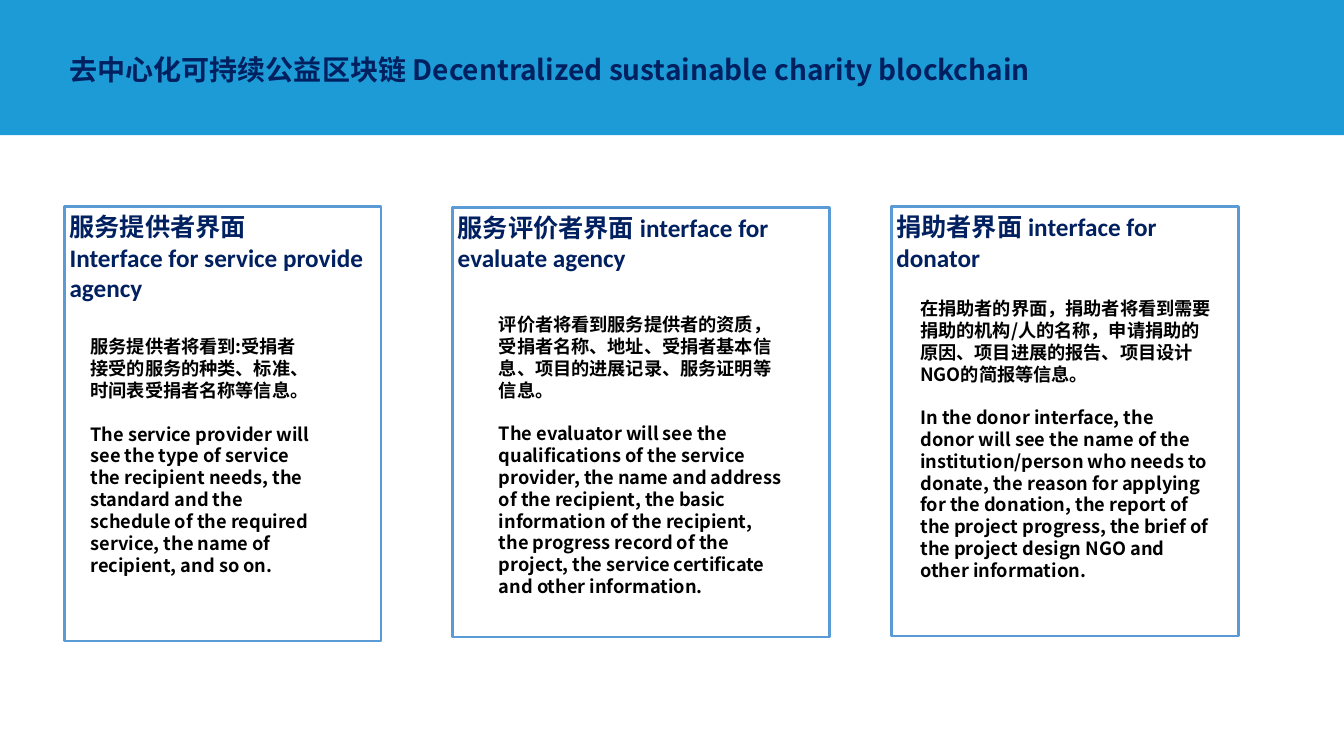
from dataclasses import dataclass

from lxml.etree import SubElement
from pptx import Presentation
from pptx.dml.color import RGBColor as Rgb
from pptx.enum.shapes import MSO_SHAPE as Preset
from pptx.enum.text import MSO_ANCHOR as Anchor, PP_ALIGN as Align
from pptx.oxml.ns import qn
from pptx.slide import Slide
from pptx.text.text import TextFrame
from pptx.util import Inches, Pt


@dataclass(frozen=True)
class Theme:
    band: Rgb = Rgb(0x1C, 0x9B, 0xD7)
    navy: Rgb = Rgb(0x00, 0x20, 0x60)
    border: Rgb = Rgb(0x5B, 0x9B, 0xD5)
    white: Rgb = Rgb(0xFF, 0xFF, 0xFF)
    black: Rgb = Rgb(0, 0, 0)
    latin: str = "Calibri"
    chinese: str = "Noto Sans CJK SC"
    title_size: float = 20
    heading_size: float = 18
    body_size: float = 13
    leading: float = 1.2


@dataclass(frozen=True)
class Area:
    left: float
    top: float
    width: float
    height: float

    def lengths(self) -> list[int]:
        return [Inches(n) for n in (self.left, self.top, self.width, self.height)]


@dataclass(frozen=True)
class Panel:
    frame: Area
    heading: list[str]
    body: Area
    description: list[str]


@dataclass(frozen=True)
class TextStyle:
    font: str
    size: float
    color: Rgb
    inset: float = 0.05
    gap: float = 0
    wrap: bool = True


THEME = Theme()
TITLE = TextStyle(THEME.chinese, THEME.title_size, THEME.navy, wrap=False)
HEADING = TextStyle(THEME.latin, THEME.heading_size, THEME.navy)
BODY = TextStyle(THEME.chinese, THEME.body_size, THEME.black, inset=0.1,
                 gap=THEME.body_size * THEME.leading)

PANELS = [
    Panel(
        Area(0.64, 2.05, 3.14, 4.31),
        ["服务提供者界面", "Interface for service provide agency"],
        Area(0.8, 3.23, 2.41, 2.51),
        ["服务提供者将看到:受捐者接受的服务的种类、标准、时间表受捐者名称等信息。",
         "The service provider will see the type of service the recipient needs, "
         "the standard and the schedule of the required service, the name of "
         "recipient, and so on."],
    ),
    Panel(
        Area(4.49, 2.06, 3.74, 4.26),
        ["服务评价者界面 interface for evaluate agency"],
        Area(4.85, 3.01, 3, 2.95),
        ["评价者将看到服务提供者的资质，受捐者名称、地址、受捐者基本信息、"
         "项目的进展记录、服务证明等信息。",
         "The evaluator will see the qualifications of the service provider, the "
         "name and address of the recipient, the basic information of the "
         "recipient, the progress record of the project, the service certificate "
         "and other information."],
    ),
    Panel(
        Area(8.84, 2.05, 3.44, 4.26),
        ["捐助者界面 interface for donator"],
        Area(9.03, 2.85, 3.08, 2.95),
        ["在捐助者的界面，捐助者将看到需要捐助的机构/人的名称，申请捐助的原因、"
         "项目进展的报告、项目设计NGO的简报等信息。",
         "In the donor interface, the donor will see the name of the "
         "institution/person who needs to donate, the reason for applying for the "
         "donation, the report of the project progress, the brief of the project "
         "design NGO and other information."],
    ),
]


def write(frame: TextFrame, lines: list[str], style: TextStyle) -> None:
    inset = Inches(style.inset)
    layout = {"word_wrap": style.wrap, "vertical_anchor": Anchor.TOP,
              "margin_left": inset, "margin_right": inset,
              "margin_top": inset, "margin_bottom": inset}
    for name, value in layout.items():
        setattr(frame, name, value)
    for index, line in enumerate(lines):
        paragraph = frame.add_paragraph() if index else frame.paragraphs[0]
        paragraph.alignment = Align.LEFT
        paragraph.line_spacing = Pt(style.size * THEME.leading)
        if index:
            paragraph.space_before = Pt(style.gap)
        run = paragraph.add_run()
        run.text = line
        run.font.color.rgb = style.color
        for name, value in {"name": style.font, "size": Pt(style.size), "bold": True}.items():
            setattr(run.font, name, value)
        # East Asian typeface for the Chinese characters
        SubElement(run._r.get_or_add_rPr(), qn("a:ea"), typeface=THEME.chinese)


def add_text(slide: Slide, area: Area, lines: list[str], style: TextStyle) -> None:
    write(slide.shapes.add_textbox(*area.lengths()).text_frame, lines, style)


def add_band(slide: Slide, area: Area) -> None:
    band = slide.shapes.add_shape(Preset.RECTANGLE, *area.lengths())
    band.shadow.inherit = False
    band.fill.solid()
    band.fill.fore_color.rgb = THEME.band
    band.line.fill.background()


def add_panel(slide: Slide, panel: Panel) -> None:
    card = slide.shapes.add_shape(Preset.RECTANGLE, *panel.frame.lengths())
    card.shadow.inherit = False
    card.fill.solid()
    card.fill.fore_color.rgb = THEME.white
    card.line.color.rgb = THEME.border
    card.line.width = Pt(2)
    write(card.text_frame, panel.heading, HEADING)
    add_text(slide, panel.body, panel.description, BODY)


def main() -> None:
    deck = Presentation()
    deck.slide_width, deck.slide_height = Inches(13.33), Inches(7.5)
    slide = deck.slides.add_slide(deck.slide_layouts[6])

    # Title band
    add_band(slide, Area(-0.07, -0.03, 13.46, 1.37))
    add_text(slide, Area(0.64, 0.47, 10.71, 0.44),
             ["去中心化可持续公益区块链 Decentralized sustainable charity blockchain"], TITLE)

    # Interface panels
    for panel in PANELS:
        add_panel(slide, panel)

    deck.save("out.pptx")


if __name__ == "__main__":
    main()
